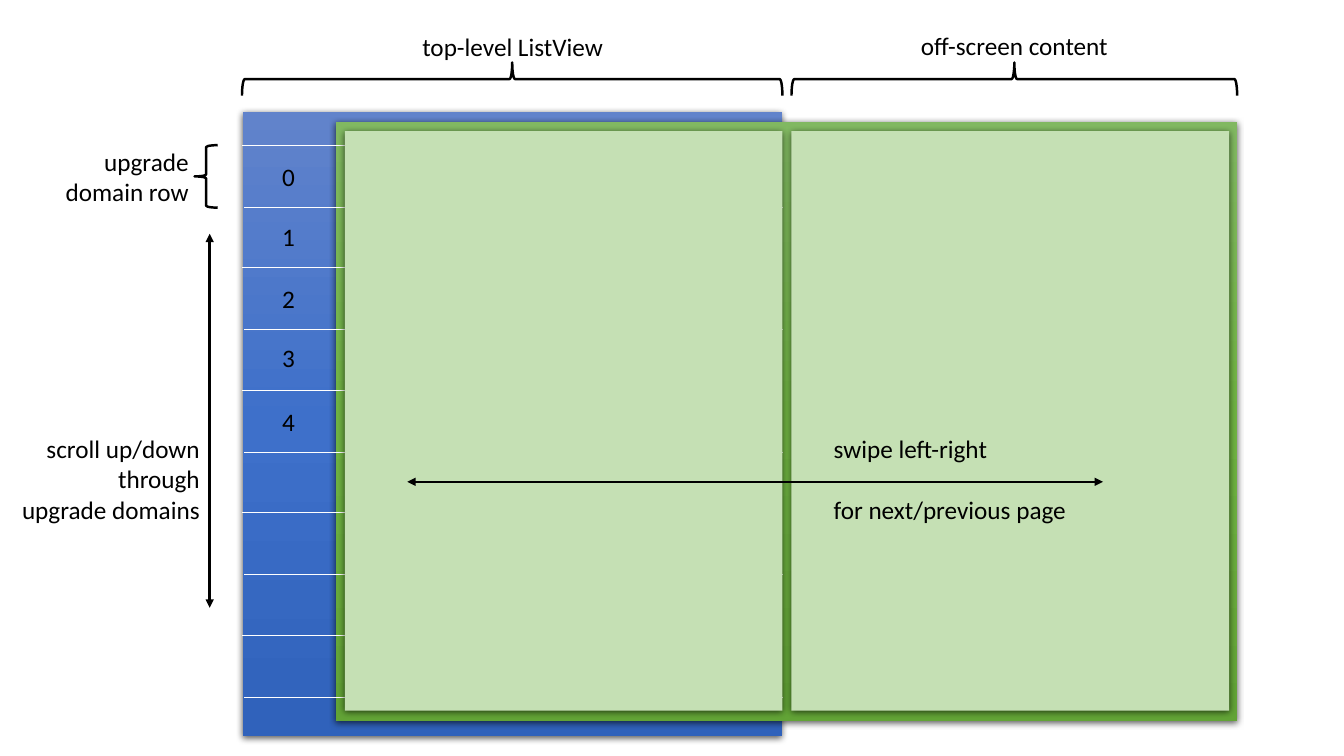
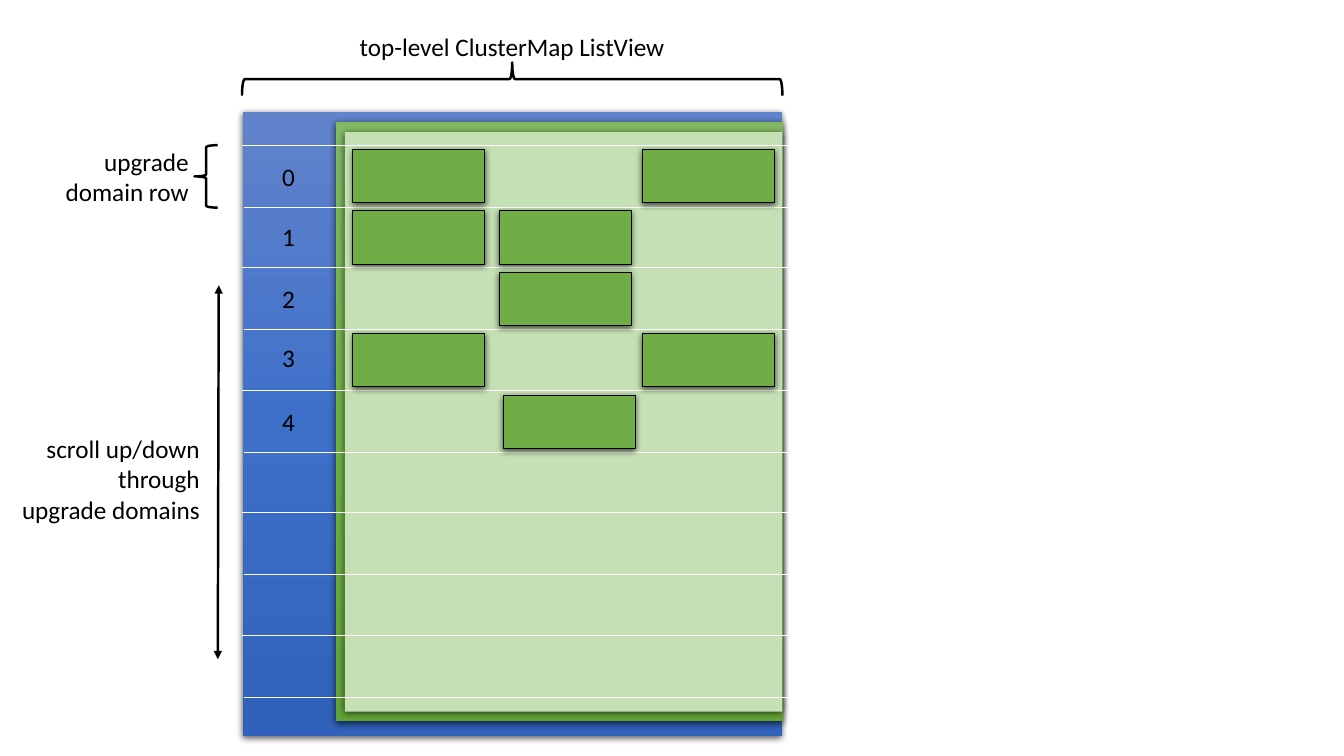
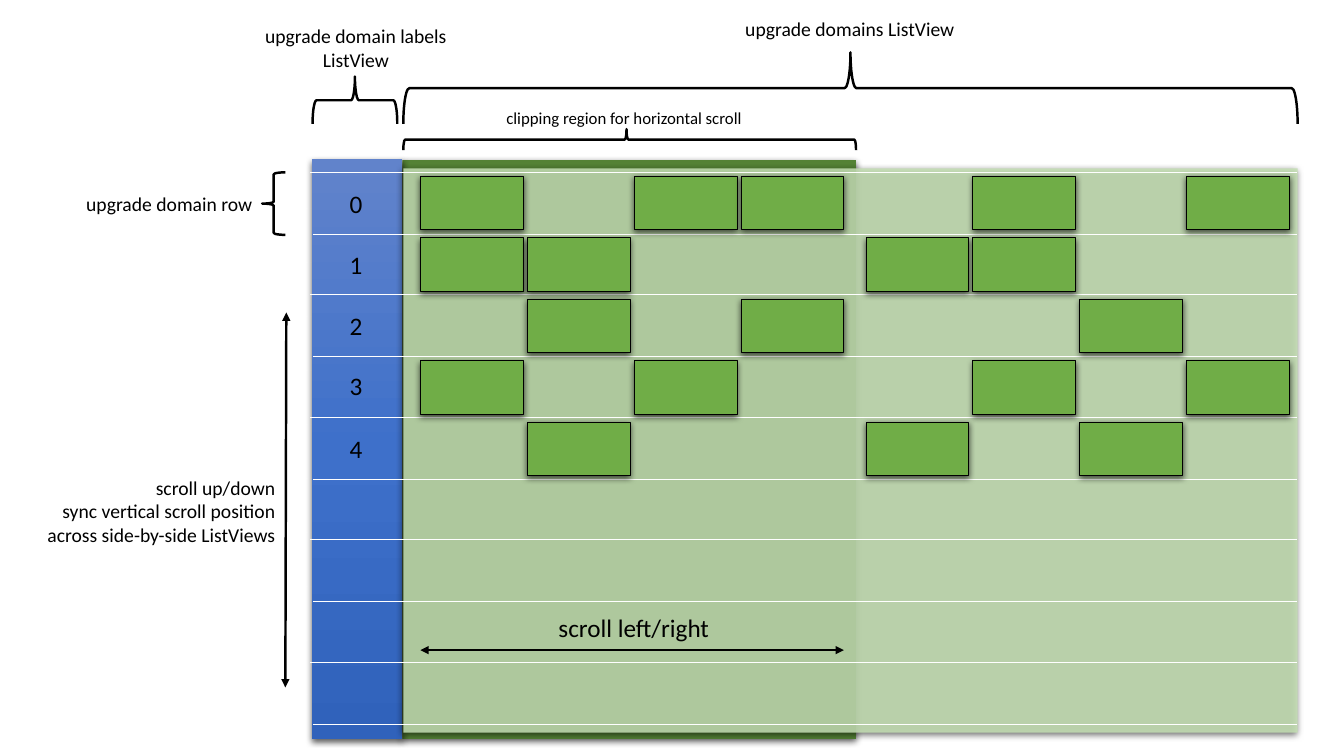
"""Build three slides that explain a list view of upgrade domain rows."""
from copy import deepcopy

from lxml.etree import SubElement
from pptx import Presentation
from pptx.dml.color import RGBColor
from pptx.enum.shapes import MSO_CONNECTOR, MSO_SHAPE
from pptx.enum.text import MSO_AUTO_SIZE, PP_ALIGN
from pptx.oxml.ns import qn
from pptx.util import Pt

PX = 9144
FONT = "Calibri"
COLORS = {
    "ink": "000000",
    "rule": "FFFFFF",
    "tile": "70AD47",
    "page": "C5E0B4",
    "clip": "548235",
}
GRADIENTS = {
    "blue": ("6183CB", "3E70CA", "3062BB"),
    "green": ("81B861", "6FB242", "62A336"),
}
LEFT, CENTER, RIGHT = PP_ALIGN.LEFT, PP_ALIGN.CENTER, PP_ALIGN.RIGHT
ROW_COUNT = 10
DIGIT_OFFSETS = (11, 71, 132, 191, 254)
TILE_HEIGHT = 53
TILE_STEP = 61

BLUE_LIST = ((241, 111, 535, 619), "blue")
LIST_BRACE = (240, 62, 536, 33)
ROW_BRACE = (193, 144, 23, 62)
SIDE_LABELS = [
    ("upgrade domain row", (51, 140, 146, 71), 18, RIGHT, True),
    ("scroll up/down\nthrough\nupgrade domains", (10, 425, 198, 101), 18, RIGHT, True),
]

SLIDES = [
    {
        "below": [BLUE_LIST, ((333, 121, 894, 594), "green")],
        "above": [((342, 130, 434, 575), "page"), ((785, 130, 434, 575), "page")],
        "top": 144,
        "starts": (240, 242),
        "ends": (775, 777),
        "tile_width": 0,
        "columns": [],
        "tiles": [],
        "braces": [LIST_BRACE, ROW_BRACE, (785, 62, 442, 33)],
        "arrows": [(404, 478, 1094, 478), (208, 232, 208, 603)],
        "labels": SIDE_LABELS + [
            ("top-level ListView", (405, 26, 207, 40), 18, CENTER, False),
            ("off-screen content", (902, 25, 208, 40), 18, CENTER, False),
            ("swipe left-right\nfor next/previous page", (817, 425, 253, 101), 18, LEFT, False, 22),
        ],
    },
    {
        "below": [BLUE_LIST, ((333, 121, 444, 594), "green"), ((342, 131, 434, 575), "page")],
        "above": [],
        "top": 144,
        "starts": (240, 242),
        "ends": (790, 790),
        "tile_width": 131,
        "columns": [350, 495, 499, 637],
        "tiles": ["x..x", "xx..", ".x..", "x..x", "..x."],
        "braces": [LIST_BRACE, ROW_BRACE],
        "arrows": [(217, 283, 216, 654)],
        "labels": SIDE_LABELS + [
            ("top-level ClusterMap ListView", (345, 26, 326, 40), 18, CENTER, False),
        ],
    },
    {
        "below": [
            ((399, 159, 450, 574), "clip"),
            ((309, 158, 90, 575), "blue"),
            ((400, 167, 887, 560), "page", 86),
        ],
        "above": [],
        "top": 171,
        "starts": (307, 310),
        "ends": (1286, 1286),
        "tile_width": 102,
        "columns": [start + 106 * index for start in (417, 859) for index in range(4)],
        "tiles": ["x.xx.x.x", "xx..xx..", ".x.x..x.", "x.x..x.x", ".x..x.x."],
        "braces": [
            (310, 76, 84, 47),
            (260, 171, 23, 62),
            (400, 52, 887, 71),
            (400, 128, 449, 21, 0.507),
        ],
        "arrows": [(417, 645, 837, 645), (284, 310, 283, 682)],
        "labels": [
            ("upgrade domain labels\nListView", (252, 19, 202, 57), 14, CENTER, False),
            ("upgrade domain row", (75, 185, 186, 34), 14, CENTER, False),
            (
                "scroll up/down\nsync vertical scroll position\nacross side-by-side ListViews",
                (34, 467, 249, 81), 14, RIGHT, False,
            ),
            ("upgrade domains ListView", (728, 12, 230, 34), 14, CENTER, False),
            ("scroll left/right", (544, 603, 172, 40), 18, LEFT, False),
            ("clipping region for horizontal scroll", (491, 102, 256, 30), 12, CENTER, False),
        ],
    },
]


def add_block(slide, box, fill, opacity=100, outlined=False):
    """Add a shadowed rectangle with a solid or gradient fill."""
    shape = slide.shapes.add_shape(MSO_SHAPE.RECTANGLE, *(length * PX for length in box))
    properties = shape.element.spPr
    if fill in GRADIENTS:
        shape.fill.gradient()
        shape.fill.gradient_angle = 270
        stops = properties.find(".//" + qn("a:gsLst"))
        stops.insert(1, deepcopy(stops[0]))
        for index, (stop, color) in enumerate(zip(shape.fill.gradient_stops, GRADIENTS[fill])):
            stop.position = index / 2
            stop.color.rgb = RGBColor.from_string(color)
    else:
        shape.fill.solid()
        shape.fill.fore_color.rgb = RGBColor.from_string(COLORS[fill])
    if opacity < 100:
        color = properties.find(qn("a:solidFill"))[0]
        SubElement(color, qn("a:alpha"), val=str(opacity * 1000))
    if outlined:
        shape.line.color.rgb = RGBColor.from_string(COLORS["ink"])
        shape.line.width = Pt(0.75)
    else:
        shape.line.fill.background()
    shape.shadow.inherit = False
    shadow = SubElement(
        properties.find(qn("a:effectLst")), qn("a:outerShdw"),
        blurRad=str(Pt(4.5)), dist=str(Pt(1.5)), dir="5400000", algn="ctr", rotWithShape="0",
    )
    shadow_color = SubElement(shadow, qn("a:srgbClr"), val=COLORS["ink"])
    SubElement(shadow_color, qn("a:alpha"), val="63000")


def add_line(slide, points, color, width, arrows=False):
    """Add a straight line, with arrowheads at both ends if asked."""
    connector = slide.shapes.add_connector(
        MSO_CONNECTOR.STRAIGHT, *(length * PX for length in points)
    )
    connector.line.color.rgb = RGBColor.from_string(COLORS[color])
    connector.line.width = Pt(width)
    properties = connector.element.spPr
    if arrows:
        for end in ("a:headEnd", "a:tailEnd"):
            SubElement(properties.find(qn("a:ln")), qn(end), type="triangle")
    SubElement(properties, qn("a:effectLst"))


presentation = Presentation()
presentation.slide_width = 1333 * PX
presentation.slide_height = 750 * PX

for content in SLIDES:
    slide = presentation.slides.add_slide(presentation.slide_layouts[6])
    top = content["top"]

    for panel in content["below"]:
        add_block(slide, *panel)
    for row in range(ROW_COUNT):
        pair, odd = divmod(row, 2)
        y = top + pair * 243 // 2 + odd * 62
        add_line(slide, (content["starts"][odd], y, content["ends"][odd], y), "rule", 0.5)
    for panel in content["above"]:
        add_block(slide, *panel)

    for row, pattern in enumerate(content["tiles"]):
        for left, mark in zip(content["columns"], pattern):
            if mark == "x":
                tile_top = top + 4 + row * TILE_STEP
                box = (left, tile_top, content["tile_width"], TILE_HEIGHT)
                add_block(slide, box, "tile", outlined=True)

    for left, brace_top, width, height, *middle in content["braces"]:
        lying = width > height
        if lying:
            left += (width - height) / 2
            brace_top += (height - width) / 2
            width, height = height, width
        box = (left, brace_top, width, height)
        brace = slide.shapes.add_shape(
            MSO_SHAPE.LEFT_BRACE, *(int(length * PX) for length in box)
        )
        brace.rotation = 90 if lying else 0
        if middle:
            brace.adjustments[1] = middle[0]
        brace.fill.background()
        brace.line.color.rgb = RGBColor.from_string(COLORS["ink"])
        brace.line.width = Pt(1.75)
        brace.shadow.inherit = False

    for points in content["arrows"]:
        add_line(slide, points, "ink", 1.75, arrows=True)

    digits = [
        (str(number), (content["starts"][0] + 30, top + offset, 33, 40), 18, LEFT, False)
        for number, offset in enumerate(DIGIT_OFFSETS)
    ]
    for text, box, size, alignment, wrap, *gap in content["labels"] + digits:
        label = slide.shapes.add_textbox(*(length * PX for length in box))
        text_frame = label.text_frame
        text_frame.text = text
        text_frame.word_wrap = wrap
        text_frame.auto_size = MSO_AUTO_SIZE.SHAPE_TO_FIT_TEXT
        for paragraph in text_frame.paragraphs:
            paragraph.alignment = alignment
            for run in paragraph.runs:
                run.font.name = FONT
                run.font.size = Pt(size)
                run.font.color.rgb = RGBColor.from_string(COLORS["ink"])
        if gap:
            text_frame.paragraphs[-1].space_before = Pt(gap[0])

presentation.save("out.pptx")
